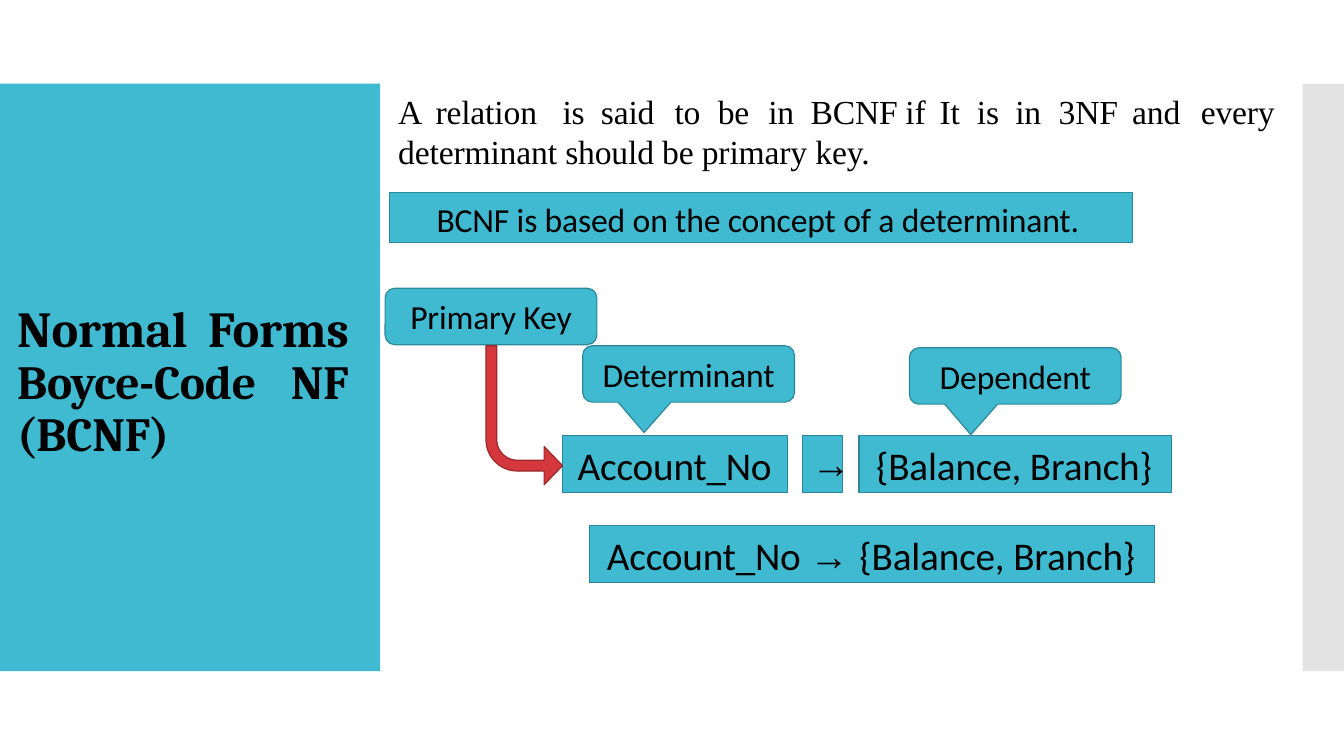
"""Build the Boyce-Code normal form slide."""
from dataclasses import dataclass

from lxml import etree
from pptx import Presentation
from pptx.dml.color import RGBColor
from pptx.enum.shapes import MSO_SHAPE
from pptx.enum.text import MSO_ANCHOR, PP_ALIGN
from pptx.oxml.ns import qn
from pptx.util import Pt

PX = 9144
RECT = MSO_SHAPE.RECTANGLE
ROUNDED = MSO_SHAPE.ROUNDED_RECTANGLE
CALLOUT = MSO_SHAPE.ROUNDED_RECTANGULAR_CALLOUT
BENT_ARROW = MSO_SHAPE.BENT_ARROW
LEFT, CENTER, JUSTIFY = PP_ALIGN.LEFT, PP_ALIGN.CENTER, PP_ALIGN.JUSTIFY
TOP, MIDDLE = MSO_ANCHOR.TOP, MSO_ANCHOR.MIDDLE

TEAL = RGBColor(0x40, 0xBA, 0xD1)
TEAL_EDGE = RGBColor(0x2E, 0x87, 0x99)
RED = RGBColor(0xD4, 0x38, 0x3D)
RED_EDGE = RGBColor(0x9B, 0x29, 0x2C)
GREY = RGBColor(0xC8, 0xC8, 0xC8)
BLACK = RGBColor(0, 0, 0)

TITLE = {"name": "Cambria", "size": Pt(36), "bold": True}
SUBTITLE = {"name": "Cambria", "size": Pt(34), "bold": True}
BODY = {"name": "Times New Roman", "size": Pt(24)}
LABEL = {"name": "Calibri", "size": Pt(24)}
TERM = {"name": "Calibri", "size": Pt(28)}
ARROW = {"name": "Arial", "size": Pt(28)}

DEFINITION = ("A\trelation\tis\tsaid\tto\tbe\tin\tBCNF\tif\tIt\tis\tin\t3NF\tand\tevery "
              "determinant should be primary key.")
TAB_STOPS = (37, 163, 201, 274, 317, 367, 409, 503, 537, 574, 612, 655, 728, 796)


@dataclass(frozen=True)
class Box:
    """A place on the slide in px."""

    x: int
    y: int
    w: int
    h: int


@dataclass(frozen=True)
class Span:
    """A stretch of text in one format."""

    text: str
    style: dict


@dataclass(frozen=True)
class TermBox:
    """A filled rectangle with indented text."""

    box: Box
    indent: int
    top: int
    spans: tuple[Span, ...]


@dataclass(frozen=True)
class Label:
    """A rounded label, with callout adjustments if it points at a term."""

    box: Box
    text: str
    kind: int
    adjustments: tuple[float, ...]


TERM_BOXES = (
    TermBox(Box(386, 191, 737, 50), 47, 6,
            (Span("BCNF is based on the concept of a determinant.", LABEL),)),
    TermBox(Box(585, 521, 560, 57), 17, 6,
            (Span("Account_No ", TERM), Span("→ ", ARROW), Span("{Balance, Branch}", TERM))),
    TermBox(Box(558, 432, 223, 57), 15, 6, (Span("Account_No", TERM),)),
    TermBox(Box(852, 432, 310, 57), 17, 6, (Span("{Balance, Branch}", TERM),)),
    TermBox(Box(796, 432, 40, 57), 9, 4, (Span("→", ARROW),)),
)
POINTING = (-0.21, 1.04, 0.17)
LABELS = (
    Label(Box(578, 343, 210, 56), "Determinant", CALLOUT, POINTING),
    Label(Box(902, 345, 210, 56), "Dependent", CALLOUT, POINTING),
    Label(Box(382, 286, 210, 56), "Primary Key", ROUNDED, (0.17,)),
)


def place(box: Box) -> tuple[int, ...]:
    """Return the box in EMU."""
    return tuple(v * PX for v in (box.x, box.y, box.w, box.h))


def add_shape(s, kind: int, box: Box, fill: RGBColor, edge: RGBColor | None = None,
              adjustments: tuple[float, ...] = ()):
    """Draw a flat preset shape."""
    sp = s.shapes.add_shape(kind, *place(box))
    sp.shadow.inherit = False
    sp.fill.solid()
    sp.fill.fore_color.rgb = fill
    if edge is None:
        sp.line.fill.background()
    else:
        sp.line.color.rgb = edge
        sp.line.width = Pt(0.85)
    for i, value in enumerate(adjustments):
        sp.adjustments[i] = value
    return sp


def write(sp, spans: tuple[Span, ...], left: int = 0, top: int = 0,
          align: int = LEFT, anchor: int = TOP):
    """Fill a shape with one paragraph and return that paragraph."""
    tf = sp.text_frame
    frame = {"word_wrap": True, "vertical_anchor": anchor, "margin_left": left * PX,
             "margin_top": top * PX, "margin_right": 0, "margin_bottom": 0}
    for name, value in frame.items():
        setattr(tf, name, value)
    p = tf.paragraphs[0]
    p.alignment = align
    for span in spans:
        r = p.add_run()
        r.text = span.text
        for name, value in span.style.items():
            setattr(r.font, name, value)
        r.font.color.rgb = BLACK
        r.font._element.set("spc", "-10")
    return p


def add_panels(s) -> None:
    """Draw the teal side panel and the pale strip at the right."""
    add_shape(s, RECT, Box(0, 83, 377, 583), TEAL)
    sp = add_shape(s, RECT, Box(1292, 83, 41, 583), GREY)
    color = sp._element.spPr.find(f"{qn('a:solidFill')}/{qn('a:srgbClr')}")
    etree.SubElement(color, qn("a:alpha"), val="50000")


def add_texts(s) -> None:
    """Write the title and the definition."""
    sp = s.shapes.add_textbox(*place(Box(16, 288, 330, 165)))
    p = write(sp, (Span("Normal Forms ", TITLE), Span("Boyce-Code NF (BCNF)", SUBTITLE)),
              1, 14, JUSTIFY)
    p.line_spacing = 0.9
    sp = s.shapes.add_textbox(*place(Box(394, 88, 877, 83)))
    p = write(sp, (Span(DEFINITION, BODY),), 1, 2)
    tabs = etree.SubElement(p._p.get_or_add_pPr(), qn("a:tabLst"))
    for stop in TAB_STOPS:
        etree.SubElement(tabs, qn("a:tab"), pos=str(stop * PX), algn="l")


def add_key_arrow(s) -> None:
    """Draw the red arrow from the primary key down to its term."""
    sp = add_shape(s, BENT_ARROW, Box(482, 343, 76, 138), RED, RED_EDGE,
                   (0.14, 0.25, 0.24, 0.41))
    sp._element.spPr.find(qn("a:xfrm")).set("flipV", "1")


def main() -> None:
    """Build and save the slide."""
    prs = Presentation()
    prs.slide_width, prs.slide_height = 1333 * PX, 750 * PX
    s = prs.slides.add_slide(prs.slide_layouts[6])
    add_panels(s)
    add_texts(s)
    for term in TERM_BOXES:
        sp = add_shape(s, RECT, term.box, TEAL, TEAL_EDGE)
        write(sp, term.spans, term.indent, term.top)
    for label in LABELS:
        sp = add_shape(s, label.kind, label.box, TEAL, TEAL_EDGE, label.adjustments)
        write(sp, (Span(label.text, LABEL),), align=CENTER, anchor=MIDDLE)
    add_key_arrow(s)
    prs.save("out.pptx")


if __name__ == "__main__":
    main()
